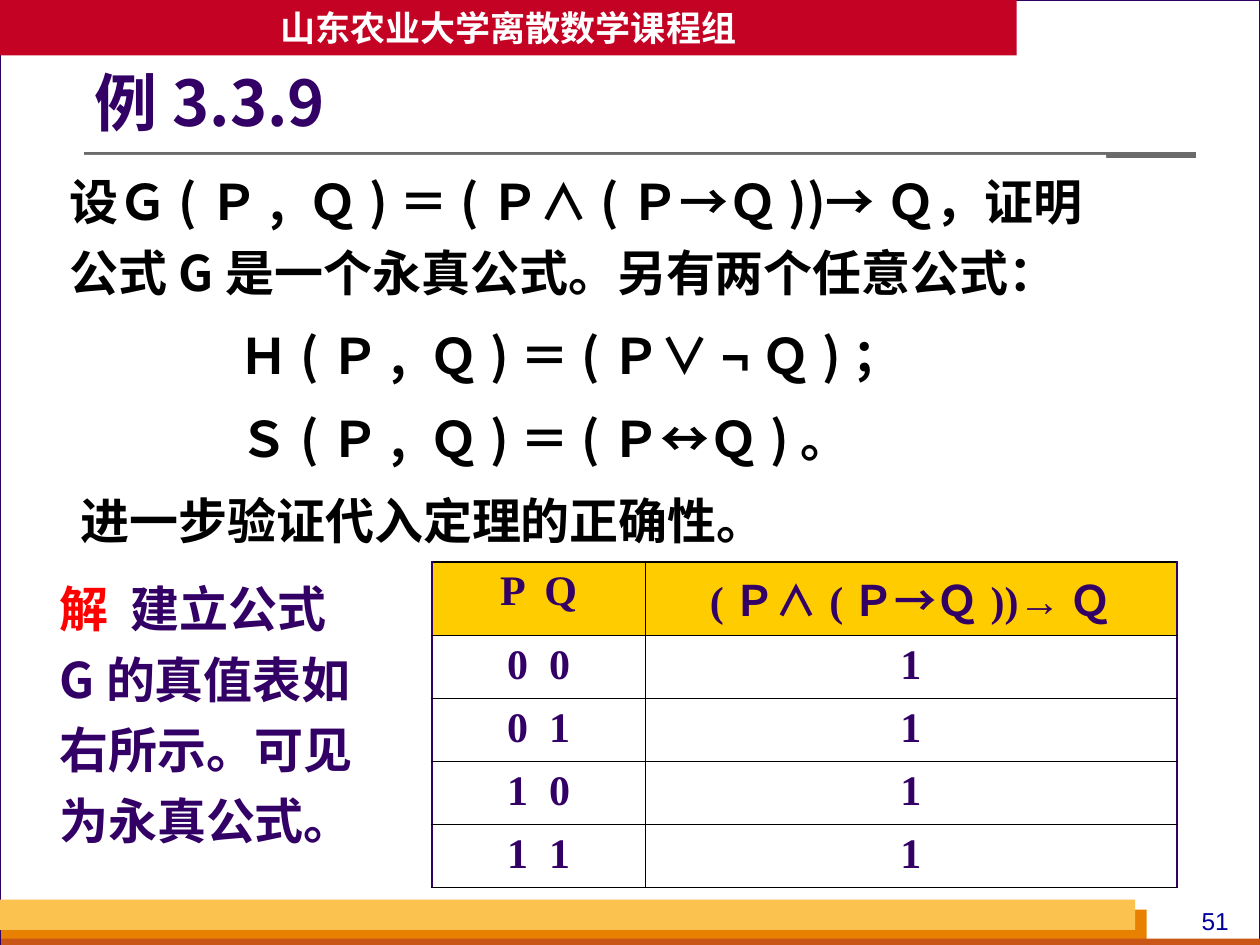
from dataclasses import dataclass
from typing import Optional

from lxml.etree import SubElement
from pptx import Presentation
from pptx.dml.color import RGBColor
from pptx.enum.shapes import MSO_CONNECTOR as Link, MSO_SHAPE as Shape
from pptx.enum.text import MSO_ANCHOR as Anchor, PP_ALIGN as Align
from pptx.oxml import parse_xml
from pptx.oxml.ns import nsdecls, qn
from pptx.util import Inches, Pt

INK = {"violet": "330066", "black": "000000", "white": "FFFFFF", "red": "FF0000",
       "navy": "000099", "grey": "6B6B6B", "banner": "C30224", "gold": "FCC24F",
       "orange": "E88000", "rust": "C95616", "head": "FFCC00"}
SANS, SERIF, PLAIN = "Noto Sans CJK SC", "Times New Roman", "Arial"


@dataclass
class Box:
    left: float
    top: float
    width: float
    height: float
    fill: str
    edge: Optional[str] = None


@dataclass
class Line:
    runs: list
    indent: float = 0
    before: float = 7


PAGE = Box(0, 0, 10, 7.5, "white", "violet")
STRIPES = [Box(0.01, 7.22, 9.09, 0.28, "orange"),
           Box(0.01, 7.45, 10, 0.08, "rust"),
           Box(0, 7.14, 9.01, 0.24, "gold")]
BANNER = Box(0, 0, 8.07, 0.44, "banner")
BODY = Box(0.51, 1.23, 8.27, 3.17, "white")
ANSWER = Box(0.43, 4.46, 2.52, 2.32, "white")

TASK = [
    Line([("设Ｇ(Ｐ, Ｑ)＝(Ｐ∧(Ｐ→Ｑ))→Ｑ，证明公式G是一个永真公式。另有两个任意公式：", None)], before=0),
    Line([("Ｈ(Ｐ, Ｑ)＝(Ｐ∨", None), ("¬", PLAIN), ("Ｑ)；", None)], 1.35),
    Line([("Ｓ(Ｐ, Ｑ)＝(Ｐ", None), ("↔", PLAIN), ("Ｑ)。", None)], 1.35),
    Line([("进一步验证代入定理的正确性。", None)], 0.09),
]
ROWS = [("P  Q", "(Ｐ∧(Ｐ→Ｑ))→Ｑ"),
        ("0  0", "1"), ("0  1", "1"), ("1  0", "1"), ("1  1", "1")]


def color(name: str) -> RGBColor:
    return RGBColor.from_string(INK[name])


def style(font, size: float, ink: str, face: str = SANS, bold: bool = True) -> None:
    font.size, font.bold, font.name = Pt(size), bold, face
    font.color.rgb = color(ink)
    asian = SubElement(font._rPr, qn("a:ea"))
    asian.set("typeface", SANS)


def pad(frame, size: float) -> None:
    frame.margin_left = frame.margin_right = Inches(size)
    frame.margin_top = frame.margin_bottom = Inches(size)


def draw(shapes, box: Box):
    shape = shapes.add_shape(Shape.RECTANGLE, Inches(box.left), Inches(box.top),
                             Inches(box.width), Inches(box.height))
    shape.shadow.inherit = False
    shape.fill.solid()
    shape.fill.fore_color.rgb = color(box.fill)
    if box.edge:
        shape.line.color.rgb = color(box.edge)
        shape.line.width = Pt(0.75)
    else:
        shape.line.fill.background()
    return shape


def write(shapes, box: Box, lines: list, ink: str) -> None:
    """Draw a box holding left-aligned 28 pt lines."""
    frame = draw(shapes, box).text_frame
    frame.word_wrap, frame.vertical_anchor = True, Anchor.TOP
    pad(frame, 0.04)
    for i, line in enumerate(lines):
        para = frame.add_paragraph() if i else frame.paragraphs[0]
        para.alignment, para.line_spacing = Align.LEFT, 1.2
        para.space_before = Pt(line.before)
        para._p.get_or_add_pPr().set("marL", str(Inches(line.indent)))
        style(para.font, 28, ink)
        for text, face in line.runs:
            run = para.add_run()
            run.text = text
            if face in INK:
                run.font.color.rgb = color(face)
            elif face:
                run.font.name = face


def rule(shapes) -> None:
    line = shapes.add_connector(Link.STRAIGHT, Inches(0.67), Inches(1.23),
                                Inches(9.49), Inches(1.23))
    line.line.color.rgb, line.line.width = color("grey"), Pt(3)
    SubElement(line._element.spPr, qn("a:effectLst"))


def border(cell, outer: dict) -> None:
    """Give sides marked as outer a thick line, the rest a thin one."""
    for i, side in enumerate("LRTB"):
        ink = INK["violet" if outer[side] and side in "LR" else "black"]
        width = Pt(1.08 if outer[side] else 0.45)
        cell._tc.get_or_add_tcPr().insert(i, parse_xml(
            f'<a:ln{side} {nsdecls("a")} w="{width}"><a:solidFill>'
            f'<a:srgbClr val="{ink}"/></a:solidFill></a:ln{side}>'))


def truth(shapes) -> None:
    table = shapes.add_table(len(ROWS), 2, Inches(3.43), Inches(4.46),
                             Inches(5.91), Inches(2.5)).table
    table.columns[0].width, table.columns[1].width = Inches(1.69), Inches(4.22)
    last = len(ROWS) - 1
    for r, row in enumerate(ROWS):
        for c, text in enumerate(row):
            cell = table.cell(r, c)
            cell.fill.solid()
            cell.fill.fore_color.rgb = color("white" if r else "head")
            border(cell, {"L": c == 0, "R": c == 1, "T": r == 0, "B": r == last})
            para = cell.text_frame.paragraphs[0]
            para.text, para.alignment = text, Align.CENTER
            style(para.font, 24, "violet", SERIF)


def head(slide) -> None:
    title = slide.shapes.title
    slide.shapes._spTree.append(title._element)  # above the page frame
    title.left, title.top = Inches(0.75), Inches(0.52)
    title.width, title.height = Inches(6.61), Inches(0.64)
    title.fill.solid()
    title.fill.fore_color.rgb = color("white")
    frame = title.text_frame
    frame.margin_left, frame.vertical_anchor = 0, Anchor.MIDDLE
    para = frame.paragraphs[0]
    para.text, para.alignment, para.line_spacing = "例3.3.9", Align.LEFT, 0.9
    style(para.font, 36, "violet")


def frame_page(shapes) -> None:
    for box in [PAGE, *STRIPES]:
        draw(shapes, box)
    note = shapes.add_textbox(Inches(9.33), Inches(7.14), Inches(0.63), Inches(0.34))
    note.text_frame.word_wrap = True
    para = note.text_frame.paragraphs[0]
    para.text, para.alignment = "51", Align.CENTER
    style(para.font, 14, "navy", PLAIN, False)
    rule(shapes)
    text = draw(shapes, BANNER).text_frame
    text.word_wrap, text.vertical_anchor = False, Anchor.MIDDLE
    para = text.paragraphs[0]
    para.text, para.alignment = "山东农业大学离散数学课程组", Align.CENTER
    style(para.font, 20, "white")


def main() -> None:
    deck = Presentation()
    deck.slide_width, deck.slide_height = Inches(10), Inches(7.5)
    slide = deck.slides.add_slide(deck.slide_layouts[5])
    shapes = slide.shapes
    frame_page(shapes)
    head(slide)
    write(shapes, BODY, TASK, "black")
    reply = [("解", "red"), ("  建立公式G的真值表如右所示。可见为永真公式。", None)]
    write(shapes, ANSWER, [Line(reply, before=0)], "violet")
    truth(shapes)
    deck.save("out.pptx")


if __name__ == "__main__":
    main()
